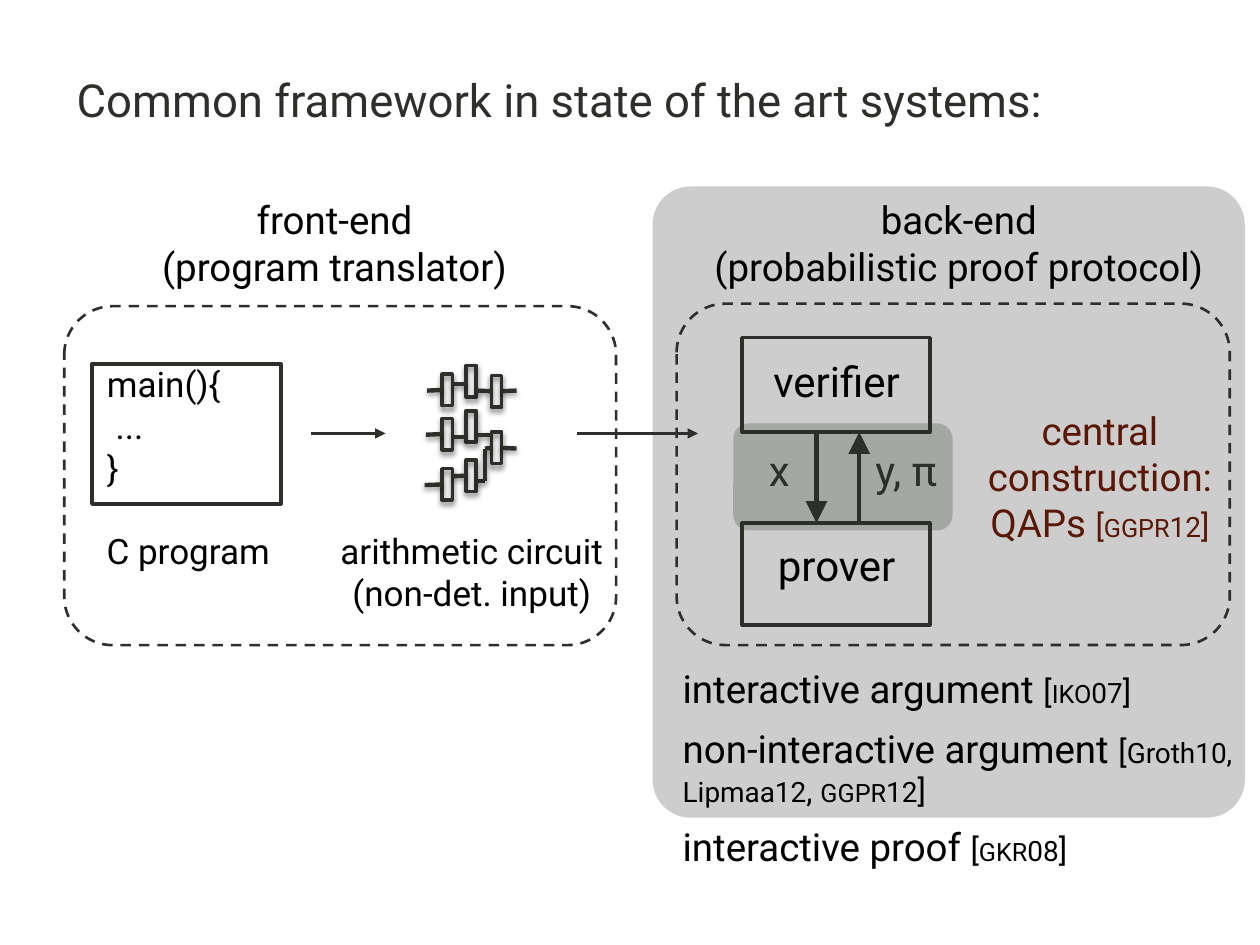
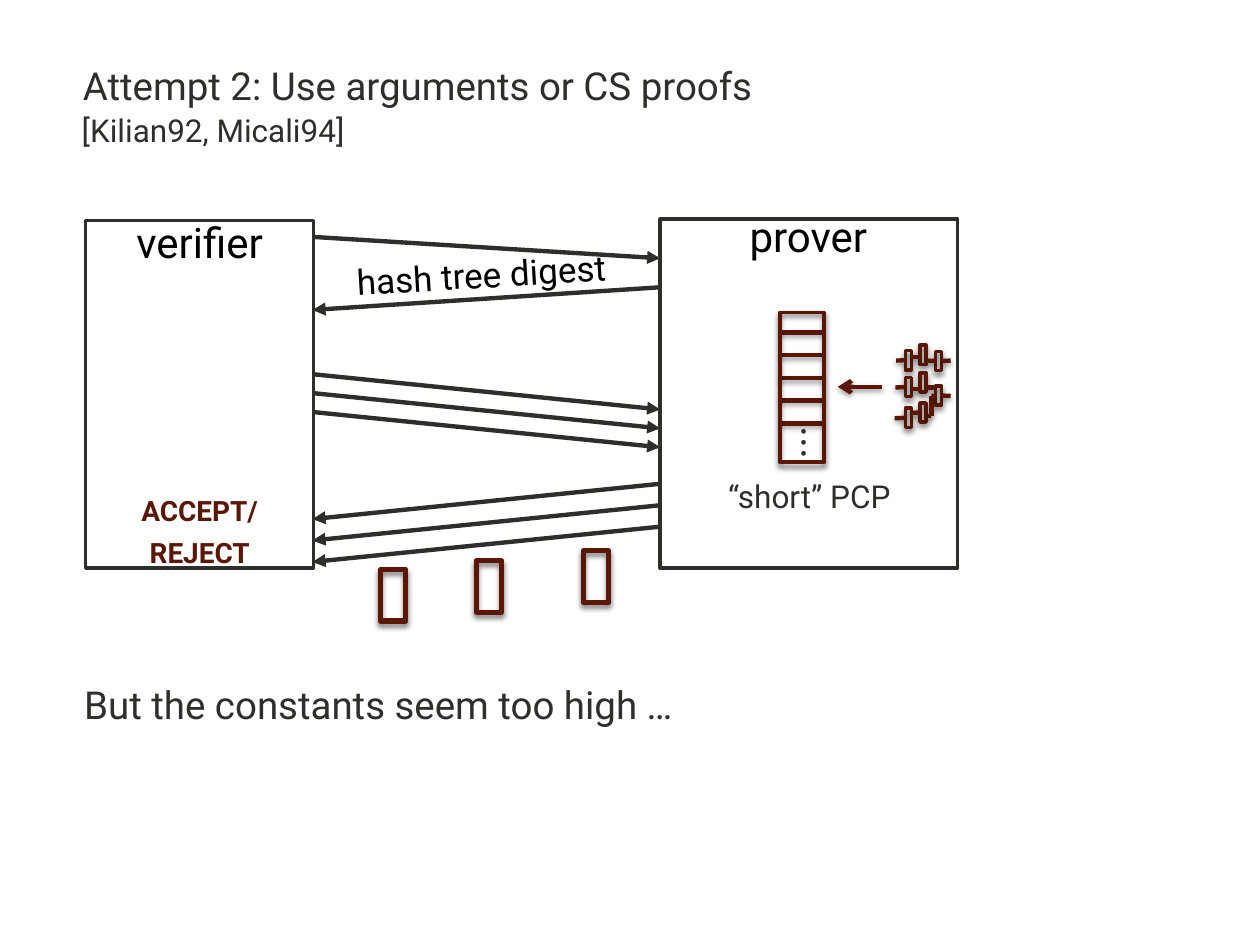
from lxml import etree
from pptx import Presentation
from pptx.dml.color import RGBColor
from pptx.enum.dml import MSO_LINE
from pptx.enum.shapes import MSO_CONNECTOR, MSO_SHAPE
from pptx.enum.text import PP_ALIGN
from pptx.oxml.ns import qn
from pptx.util import Inches, Pt

RECT, ROUND = MSO_SHAPE.RECTANGLE, MSO_SHAPE.ROUNDED_RECTANGLE
STRAIGHT = MSO_CONNECTOR.STRAIGHT
DASH = MSO_LINE.DASH
LEFT, CENTER = PP_ALIGN.LEFT, PP_ALIGN.CENTER
FONT = "Roboto"
INK, BLACK, RED = "2D2F2B", "000000", "5A1705"
LEFT_SIDE, RIGHT_SIDE = 1, 3

GATE_SIZE = (0.08, 0.25)
GATES = [(0.14, 0.07), (0.14, 0.42), (0.14, 0.82), (0.33, 0), (0.33, 0.36),
         (0.33, 0.75), (0.53, 0.08), (0.53, 0.53)]
WIRES = [
    (0.02, 0.2, 0.14, 0.2, None, 0),
    (0.01, 0.55, 0.14, 0.55, None, 1),
    (0, 0.95, 0.14, 0.95, None, 2),
    (0.22, 0.15, 0.33, 0.15, None, None),
    (0.22, 0.57, 0.33, 0.57, None, None),
    (0.22, 0.88, 0.33, 0.88, None, 5),
    (0.41, 0.2, 0.53, 0.2, None, 6),
    (0.41, 0.55, 0.53, 0.55, None, None),
    (0.41, 0.92, 0.48, 0.92, None, None),
    (0.48, 0.66, 0.48, 0.92, None, None),
    (0.48, 0.66, 0.53, 0.66, None, 7),
    (0.61, 0.2, 0.73, 0.2, 6, None),
    (0.61, 0.66, 0.73, 0.66, 7, None),
]


def rgb(value):
    """Turn a hex string into a colour."""
    return RGBColor.from_string(value)


def add_shadow(effects, alpha, blur, dist):
    """Put a shadow that falls straight down into an effect list."""
    outer = etree.SubElement(effects, qn("a:outerShdw"), blurRad=str(Pt(blur)),
                             dist=str(Pt(dist)), dir="5400000", rotWithShape="0")
    clr = etree.SubElement(outer, qn("a:srgbClr"), val=BLACK)
    etree.SubElement(clr, qn("a:alpha"), val=str(alpha * 1000))


def add_box(shapes, x, y, w, h, color=INK, width=2, kind=RECT, adj=None,
            dash=None, shadow=False):
    """Add an unfilled outline."""
    sp = shapes.add_shape(kind, Inches(x), Inches(y), Inches(w), Inches(h))
    sp.shadow.inherit = False
    sp.fill.background()
    sp.line.color.rgb = rgb(color)
    sp.line.width = Pt(width)
    if adj:
        sp.adjustments[0] = adj
    if dash:
        sp.line.dash_style = dash
    if shadow:
        add_shadow(sp.element.spPr.find(qn("a:effectLst")), 50, 3, 2)
    return sp


def add_veil(shapes, x, y, w, h, adj):
    """Add a see-through rounded panel without an outline."""
    sp = add_box(shapes, x, y, w, h, kind=ROUND, adj=adj)
    sp.line.fill.background()
    sp.fill.solid()
    sp.fill.fore_color.rgb = rgb(INK)
    clr = sp.element.spPr.find(qn("a:solidFill")).find(qn("a:srgbClr"))
    etree.SubElement(clr, qn("a:alpha"), val="24000")


def add_line(shapes, x1, y1, x2, y2, color=INK, width=2.5, head=None,
             head_size="med", shadow=False):
    """Add a straight line, with an arrowhead at its end if one is named."""
    cx = shapes.add_connector(STRAIGHT, Inches(x1), Inches(y1), Inches(x2), Inches(y2))
    cx.line.color.rgb = rgb(color)
    cx.line.width = Pt(width)
    sp_pr = cx.element.spPr
    if head:
        etree.SubElement(sp_pr.find(qn("a:ln")), qn("a:tailEnd"), type=head,
                         w=head_size, len=head_size)
    effects = etree.SubElement(sp_pr, qn("a:effectLst"))
    if shadow:
        add_shadow(effects, 38, 3.1, 1.6)
    return cx


def add_label(shapes, x, y, w, h, paragraphs, size, color=BLACK, align=CENTER,
              bold=False, gap=0, rotation=0):
    """Add text; a paragraph is a string or a list of (text, size, small caps)."""
    sp = shapes.add_textbox(Inches(x), Inches(y), Inches(w), Inches(h))
    sp.rotation = rotation
    tf = sp.text_frame
    tf.word_wrap = True
    for i, runs in enumerate(paragraphs):
        p = tf.paragraphs[0] if i == 0 else tf.add_paragraph()
        p.alignment = align
        p.space_before = Pt(gap)
        for text, run_size, caps in [(runs, size, False)] if isinstance(runs, str) else runs:
            r = p.add_run()
            r.text = text
            r.font.name = FONT
            r.font.size = Pt(run_size)
            r.font.bold = bold
            r.font.color.rgb = rgb(color)
            if caps:
                r.font._element.set("cap", "small")
    return sp


def add_title(shapes, x, y, w, h, text, size):
    """Add a heading in the shared title style."""
    add_label(shapes, x, y, w, h, [text], size, INK, LEFT)


def cite(initials, year, before=""):
    """Return the runs of a bracketed citation in small capitals."""
    start = [(before, 16, False), (", ", 18, False)] if before else []
    return [("[", 18, False), *start, (initials, 18, True), (year, 16, False),
            ("]", 18, False)]


def add_circuit(shapes, x, y, scale=1, color=INK):
    """Draw the grouped gates and wires of an arithmetic circuit."""
    group = shapes.add_group_shape().shapes
    w, h = (scale * side for side in GATE_SIZE)
    gates = [add_box(group, x + scale * gx, y + scale * gy, w, h, color, shadow=True)
             for gx, gy in GATES]
    for x1, y1, x2, y2, begin, end in WIRES:
        cx = add_line(group, x + scale * x1, y + scale * y1, x + scale * x2,
                      y + scale * y2, color, shadow=True)
        if begin is not None:
            cx.begin_connect(gates[begin], RIGHT_SIDE)
        if end is not None:
            cx.end_connect(gates[end], LEFT_SIDE)


def add_front_end(shapes, x, y):
    """Draw the program translator."""
    add_label(shapes, x - 0.1, y, 4.49, 0.84, ["front-end", "(program translator)"], 22)
    add_box(shapes, x, y + 0.92, 4.38, 2.69, width=1.5, kind=ROUND, adj=0.143, dash=DASH)
    add_box(shapes, x + 0.22, y + 1.38, 1.5, 1.11)
    add_label(shapes, x + 0.24, y + 1.32, 1.38, 1.11, ["main(){", " ...", "}"], 20,
              align=LEFT)
    add_label(shapes, x + 0.2, y + 2.64, 1.57, 0.77, ["C program"], 20)
    add_circuit(shapes, x + 2.86, y + 1.39)
    add_label(shapes, x + 2.05, y + 2.64, 2.37, 1.11,
              ["arithmetic circuit", "(non-det. input)"], 20)
    for start, end in [(1.96, 2.55), (4.07, 5.03)]:
        add_line(shapes, x + start, y + 1.93, x + end, y + 1.93, width=1.75,
                 head="triangle")


def add_back_end(shapes, x, y):
    """Draw the proof protocol on its grey panel."""
    add_veil(shapes, x, y, 4.7, 5.01, 0.064)
    add_veil(shapes, x + 0.64, y + 1.88, 1.74, 0.85, 0.143)
    add_label(shapes, x + 0.21, y + 0.03, 4.44, 0.84,
              ["back-end", "(probabilistic proof protocol)"], 22)
    add_box(shapes, x + 0.19, y + 0.93, 4.39, 2.71, width=1.5, kind=ROUND, adj=0.143,
            dash=DASH)
    for role, top, height, text_top in [("verifier", 1.2, 0.75, 1.29),
                                        ("prover", 2.67, 0.81, 2.75)]:
        add_box(shapes, x + 0.71, y + top, 1.49, height)
        add_label(shapes, x + 0.69, y + text_top, 1.54, 0.5, [role], 24)
    add_label(shapes, x + 0.51, y + 2, 0.99, 0.5, ["x"], 24, INK)
    add_label(shapes, x + 1.67, y + 2, 0.8, 0.5, ["y, π"], 24, INK, LEFT)
    for across, start, end in [(1.3, 1.95, 2.67), (1.64, 2.67, 1.95)]:
        add_line(shapes, x + across, y + start, x + across, y + end, head="triangle",
                 head_size="lg")
    add_label(shapes, x + 2.45, y + 1.7, 2.2, 1.21,
              [[("central construction: QAPs ", 22, False), *cite("ggpr", "12")]], 22, RED)
    protocols = [("interactive argument ", cite("iko", "07")),
                 ("non-interactive argument ", cite("ggpr", "12", "Groth10, Lipmaa12")),
                 ("interactive proof ", cite("gkr", "08"))]
    add_label(shapes, x + 0.14, y + 3.75, 4.64, 1.74,
              [[(name, 22, False), *source] for name, source in protocols], 22,
              align=LEFT, gap=8)


def add_verifier(shapes, x, y):
    """Draw the verifier with its verdict."""
    add_box(shapes, x, y, 1.81, 2.76)
    add_label(shapes, x, y - 0.08, 1.81, 0.5, ["verifier"], 24)
    add_label(shapes, x, y + 2.06, 1.81, 0.71, [[("accept/reject", 20, True)]], 20, RED,
              bold=True)


def add_prover(shapes, x, y):
    """Draw the prover, which turns a circuit into a short PCP."""
    add_box(shapes, x, y, 2.36, 2.77)
    add_label(shapes, x, y - 0.12, 2.35, 0.5, ["prover"], 24)
    tape = shapes.add_group_shape().shapes
    left, top = x + 0.95, y + 0.74
    for i in range(5):
        cut = top + 0.16 + 0.18 * i
        add_line(tape, left, cut, left + 0.34, cut, RED, shadow=True)
    add_box(tape, left, top, 0.35, 1.19, RED, 2.25, shadow=True)
    add_label(tape, left - 0.01, top + 0.8, 0.56, 0.57, ["..."], 24, INK, LEFT,
              rotation=90)
    add_label(shapes, x + 0.44, y + 2, 1.62, 0.65, ["“short” PCP"], 18, INK, LEFT)
    add_circuit(shapes, x + 1.86, y + 1, 0.61, RED)
    add_line(shapes, x + 1.76, y + 1.33, x + 1.41, y + 1.33, RED, head="arrow",
             shadow=True)


def add_messages(shapes, x, y):
    """Draw the messages that pass between verifier and prover."""
    right = x + 2.76
    add_line(shapes, x, y, right, y + 0.17, head="triangle")
    add_line(shapes, right, y + 0.4, x, y + 0.58, head="triangle")
    add_label(shapes, x - 0.41, y + 0.08, 3.5, 0.44, ["hash tree digest"], 20,
              rotation=356.6)
    for i in range(3):
        query, answer = y + 1.09 + 0.15 * i, y + 1.96 + 0.17 * i
        add_line(shapes, x, query, right, query + 0.28, head="triangle")
        add_line(shapes, right, answer, x, answer + 0.28, head="triangle")
    for dx, dy in [(0.54, 2.64), (1.3, 2.57), (2.15, 2.49)]:
        add_box(shapes, x + dx, y + dy, 0.2, 0.41, RED, 3, shadow=True)


def build_framework(prs):
    """Build the slide on the common framework."""
    shapes = prs.slides.add_slide(prs.slide_layouts[6]).shapes
    add_title(shapes, 0.51, 0.52, 9.12, 0.54,
              "Common framework in state of the art systems:", 26)
    add_back_end(shapes, 5.18, 1.48)
    add_front_end(shapes, 0.51, 1.51)


def build_arguments(prs):
    """Build the slide on arguments and CS proofs."""
    shapes = prs.slides.add_slide(prs.slide_layouts[6]).shapes
    add_title(shapes, 0.56, 0.44, 9.34, 0.83, "Attempt 2: Use arguments or CS proofs", 22)
    add_title(shapes, 0.55, 0.83, 3.29, 0.4, "[Kilian92, Micali94]", 18)
    add_messages(shapes, 2.48, 1.88)
    add_verifier(shapes, 0.68, 1.75)
    add_prover(shapes, 5.24, 1.74)
    add_title(shapes, 0.57, 5.36, 9.43, 0.76, "But the constants seem too high …", 22)


def main():
    """Build and save the presentation."""
    prs = Presentation()
    prs.slide_width, prs.slide_height = Inches(10), Inches(7.5)
    build_framework(prs)
    build_arguments(prs)
    prs.save("out.pptx")


if __name__ == "__main__":
    main()
